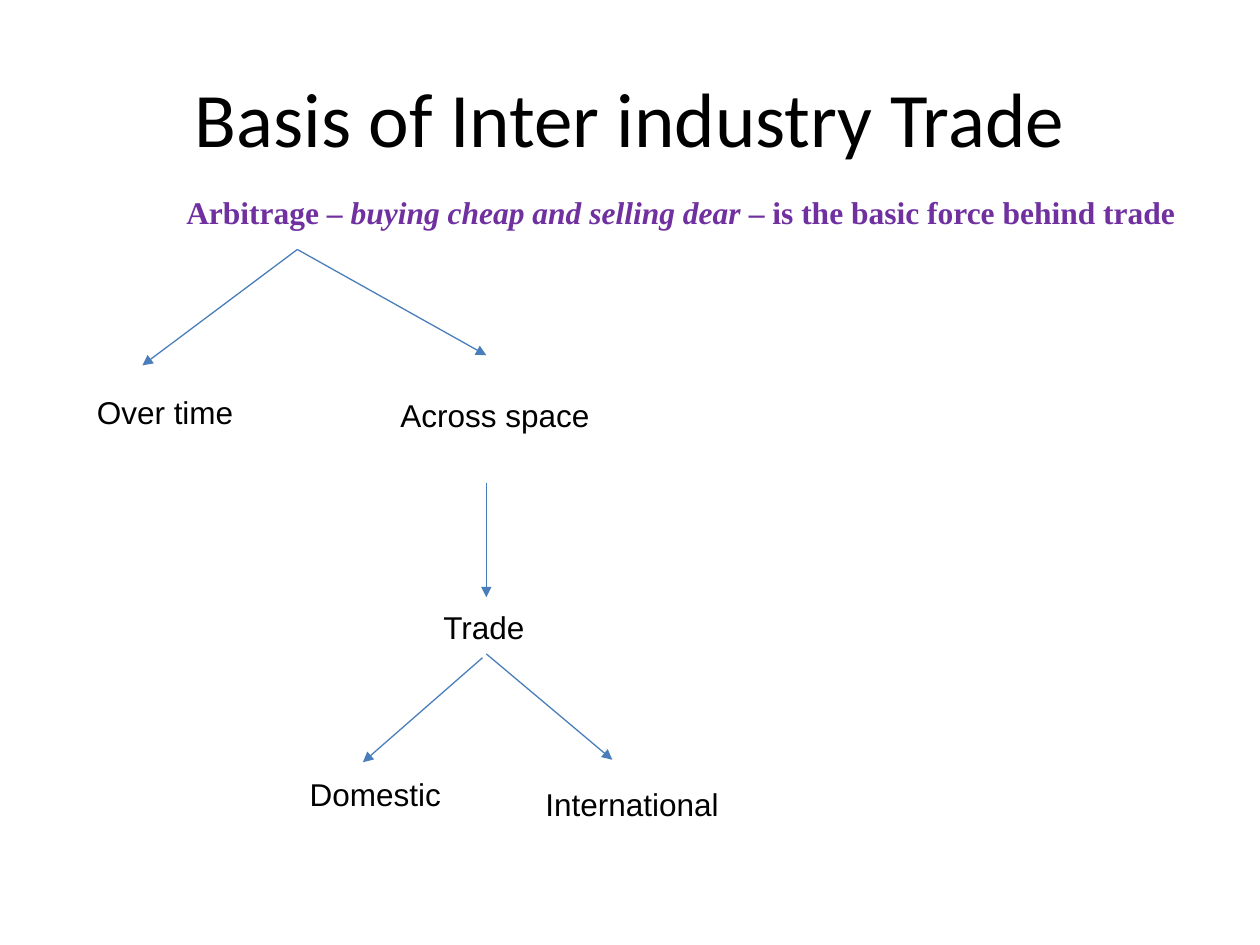
from dataclasses import dataclass
from typing import NamedTuple

from lxml import etree
from pptx import Presentation
from pptx.dml.color import RGBColor
from pptx.enum.shapes import MSO_CONNECTOR
from pptx.enum.text import MSO_ANCHOR, MSO_AUTO_SIZE, PP_ALIGN
from pptx.oxml.ns import qn
from pptx.util import Inches, Pt

STRAIGHT = MSO_CONNECTOR.STRAIGHT
MIDDLE = MSO_ANCHOR.MIDDLE
GROW = MSO_AUTO_SIZE.SHAPE_TO_FIT_TEXT
CENTER = PP_ALIGN.CENTER
TITLE_ONLY = 5

# The slide is a grid of 10 columns by 7.5 rows of square cells.
CELL = Inches(1)
COLUMNS, ROWS = 10, 7.5
LINE_HEIGHT = 0.4


@dataclass(frozen=True)
class Theme:
    ink: RGBColor = RGBColor(0x00, 0x00, 0x00)
    emphasis: RGBColor = RGBColor(0x70, 0x30, 0xA0)
    arrow: RGBColor = RGBColor(0x4A, 0x7E, 0xBB)
    title_font: str = "Calibri"
    label_font: str = "Arial"
    statement_font: str = "Times New Roman"
    title_size: Pt = Pt(44)
    text_size: Pt = Pt(18)
    arrow_width: Pt = Pt(0.75)


class Point(NamedTuple):
    column: float
    row: float


class Arrow(NamedTuple):
    start: Point
    end: Point


class Label(NamedTuple):
    text: str
    corner: Point
    width: float


class Phrase(NamedTuple):
    text: str
    italic: bool = False


THEME = Theme()
TITLE = "Basis of Inter industry Trade"
STATEMENT = (
    Phrase("Arbitrage – "),
    Phrase("buying cheap and selling dear", italic=True),
    Phrase(" – is the basic force behind trade"),
)
LABELS = (
    Label("Over time", Point(0.67, 3.07), 1.92),
    Label("Across space", Point(3.08, 3.09), 1.92),
    Label("Trade", Point(3.42, 4.78), 2.83),
    Label("Domestic", Point(2.36, 6.1), 1.71),
    Label("International", Point(4.23, 6.18), 2.33),
)
ARBITRAGE_FORK = Point(2.36, 1.98)
SPACE_COLUMN = 3.86
ARROWS = (
    Arrow(ARBITRAGE_FORK, Point(1.13, 2.9)),
    Arrow(ARBITRAGE_FORK, Point(SPACE_COLUMN, 2.82)),
    Arrow(Point(SPACE_COLUMN, 3.83), Point(SPACE_COLUMN, 4.74)),
    Arrow(Point(3.83, 5.22), Point(2.88, 6.05)),
    Arrow(Point(SPACE_COLUMN, 5.19), Point(4.86, 6.03)),
)


def cells(*counts: float) -> list[int]:
    return [round(count * CELL) for count in counts]


def add_run(paragraph, text: str, font_name: str, size: Pt, color: RGBColor):
    run = paragraph.add_run()
    run.text = text
    run.font.name = font_name
    run.font.size = size
    run.font.color.rgb = color
    return run


def fill_title(slide) -> None:
    title = slide.shapes.title
    title.left, title.top, title.width, title.height = cells(0.5, 0.3, 9, 1.25)
    title.text_frame.vertical_anchor = MIDDLE
    paragraph = title.text_frame.paragraphs[0]
    paragraph.alignment = CENTER
    add_run(paragraph, TITLE, THEME.title_font, THEME.title_size, THEME.ink)


def add_text_line(slide, corner: Point, width: float):
    """Add a one-line text box and return its paragraph."""
    box = slide.shapes.add_textbox(*cells(*corner, width, LINE_HEIGHT))
    box.text_frame.word_wrap = True
    box.text_frame.auto_size = GROW
    return box.text_frame.paragraphs[0]


def add_label(slide, label: Label) -> None:
    paragraph = add_text_line(slide, label.corner, label.width)
    add_run(paragraph, label.text, THEME.label_font, THEME.text_size, THEME.ink)


def add_statement(slide) -> None:
    paragraph = add_text_line(slide, Point(1.38, 1.48), 8.65)
    for phrase in STATEMENT:
        run = add_run(paragraph, phrase.text, THEME.statement_font,
                      THEME.text_size, THEME.emphasis)
        run.font.bold = True
        run.font.italic = phrase.italic


def add_arrow(slide, arrow: Arrow) -> None:
    connector = slide.shapes.add_connector(
        STRAIGHT, *cells(*arrow.start, *arrow.end))
    connector.line.color.rgb = THEME.arrow
    connector.line.width = THEME.arrow_width
    outline = connector.line._get_or_add_ln()
    etree.SubElement(outline, qn("a:tailEnd"), type="triangle")
    etree.SubElement(connector._element.spPr, qn("a:effectLst"))


def main() -> None:
    presentation = Presentation()
    presentation.slide_width, presentation.slide_height = cells(COLUMNS, ROWS)
    slide = presentation.slides.add_slide(presentation.slide_layouts[TITLE_ONLY])
    fill_title(slide)
    for arrow in ARROWS:
        add_arrow(slide, arrow)
    for label in LABELS:
        add_label(slide, label)
    add_statement(slide)
    presentation.save("out.pptx")


if __name__ == "__main__":
    main()
